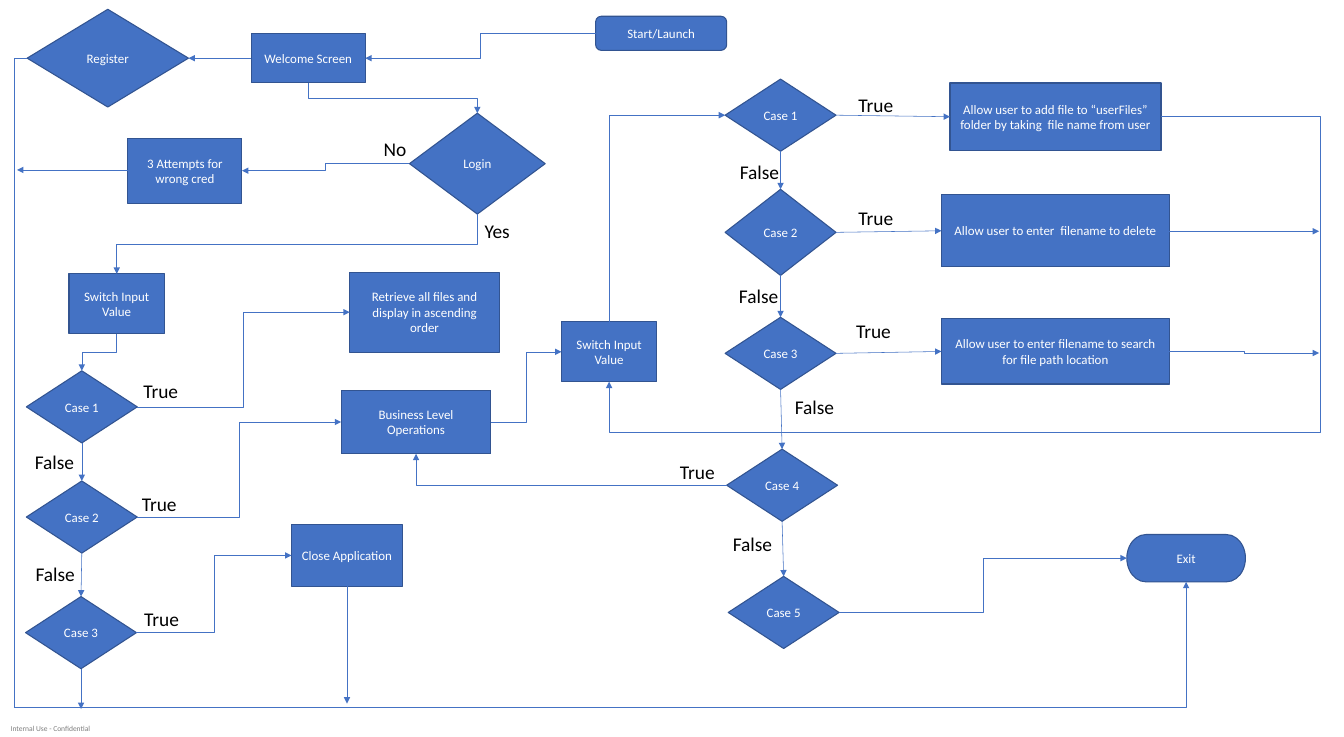
"""Flowchart of a file-management console application, laid out on a grid of tenth-inch cells."""
from lxml import etree
from pptx import Presentation
from pptx.dml.color import RGBColor
from pptx.enum.shapes import MSO_CONNECTOR, MSO_SHAPE
from pptx.enum.text import MSO_ANCHOR, PP_ALIGN
from pptx.oxml.ns import qn
from pptx.util import Inches, Pt

STRAIGHT, ELBOW = MSO_CONNECTOR.STRAIGHT, MSO_CONNECTOR.ELBOW
BOX, PROCESS = MSO_SHAPE.RECTANGLE, MSO_SHAPE.FLOWCHART_PROCESS
DECISION, TERMINATOR = MSO_SHAPE.FLOWCHART_DECISION, MSO_SHAPE.FLOWCHART_TERMINATOR
ROUNDED = MSO_SHAPE.ROUNDED_RECTANGLE
LEFT, CENTER, MIDDLE = PP_ALIGN.LEFT, PP_ALIGN.CENTER, MSO_ANCHOR.MIDDLE

COLORS = {"fill": "4472C4", "outline": "325491", "light": "FFFFFF", "label": "000000", "footer": "7F7F7F"}
CELL = Inches(0.1)
COLUMNS, ROWS = 173.3, 95
CASE_W, CASE_H = 14.3, 9.3

prs = Presentation()
prs.slide_width, prs.slide_height = int(COLUMNS * CELL), int(ROWS * CELL)
slide = prs.slides.add_slide(prs.slide_layouts[6])


def write(frame, text, size, color, align):
    frame.text = text
    frame.word_wrap = True
    for paragraph in frame.paragraphs:
        paragraph.alignment = align
        for run in paragraph.runs:
            run.font.name = "Calibri"
            run.font.size = Pt(size)
            run.font.color.rgb = RGBColor.from_string(COLORS[color])


steps = {
    "start": ("Start/Launch", ROUNDED, 76.8, 2.1, 16.9, 4.4),
    "welcome": ("Welcome Screen", BOX, 32.4, 4.3, 14.7, 6.4),
    "login": ("Login", DECISION, 52.8, 14.6, 17.5, 13),
    "register": ("Register", DECISION, 3.5, 1.2, 20.8, 12.6),
    "attempts": ("3 Attempts for wrong cred", BOX, 16.5, 17.8, 14.7, 8.4),
    "menu": ("Switch Input\nValue", BOX, 8.9, 35.3, 12.3, 7.7),
    "submenu": ("Switch Input\nValue", BOX, 72.4, 41.5, 12.3, 7.7),
    "retrieve": ("Retrieve all files and display in ascending order", PROCESS, 45.1, 35.1, 19.3, 10.3),
    "business": ("Business Level Operations", PROCESS, 44, 50.3, 19.3, 8.2),
    "close": ("Close Application", PROCESS, 37.6, 67.6, 14.3, 8),
    "add": ("Allow user to add file to “userFiles” folder by taking  file name from user",
            PROCESS, 122.5, 10.7, 27.2, 8.7),
    "delete": ("Allow user to enter  filename to delete", PROCESS, 121.4, 25.1, 29.4, 9.3),
    "search": ("Allow user to enter filename to search for file path location",
               PROCESS, 121.4, 41.1, 29.4, 8.4),
    "exit": ("Exit", TERMINATOR, 145.3, 68.9, 15.3, 6.1),
}
case_columns = {
    "menu": [(3.4, 47.8, CASE_H), (3.4, 62, CASE_H), (3.3, 76.9, CASE_H)],
    "sub": [(93.5, 10.2, CASE_H), (93.5, 24.4, 11.1), (93.5, 40.9, CASE_H),
            (93.7, 57.9, CASE_H), (93.9, 74.3, CASE_H)],
}
case_arrows = []
for column, cases in case_columns.items():
    for number, (x, y, height) in enumerate(cases, 1):
        steps[f"{column}{number}"] = (f"Case {number}", DECISION, x, y, CASE_W, height)
        if number > 1:
            case_arrows.append((f"{column}{number - 1} bottom", f"{column}{number} top", 1))

for text, kind, *place in steps.values():
    step = slide.shapes.add_shape(kind, *(int(n * CELL) for n in place))
    step.shadow.inherit = False
    step.fill.solid()
    step.fill.fore_color.rgb = RGBColor.from_string(COLORS["fill"])
    step.line.color.rgb = RGBColor.from_string(COLORS["outline"])
    step.line.width = Pt(1)
    step.text_frame.vertical_anchor = MIDDLE
    write(step.text_frame, text, 12, "light", CENTER)

SIDES = {"left": (0, 0.5), "right": (1, 0.5), "top": (0.5, 0), "bottom": (0.5, 1)}


def locate(spot):
    if isinstance(spot, tuple):
        return spot
    name, side = spot.split()
    x, y, width, height = steps[name][2:]
    return x + SIDES[side][0] * width, y + SIDES[side][1] * height


trunk_corner = (1.8, 91.2)
arrows = case_arrows + [
    ("start left", "welcome right", 3),
    ("welcome left", "register right", 1),
    ("welcome bottom", "login top", 3),
    ("login left", "attempts right", 3),
    ("attempts left", (2.2, 21.9), 3),
    ("login bottom", "menu top", 3),
    ("menu bottom", "menu1 top", 3),
    ("menu1 right", "retrieve left", 3),
    ("menu2 right", "business left", 3),
    ("menu3 right", "close left", 3),
    ("menu3 bottom", (10.45, 91.4), 1),
    ("close bottom", (44.75, 90.7), 1),
    ("business right", "submenu left", 3),
    ("submenu top", "sub1 left", 2),
    ("sub1 right", "add left", 1),
    ("sub2 right", "delete left", 1),
    ("sub3 right", "search left", 1),
    ("sub4 left", "business bottom", 2),
    ("sub5 right", "exit left", 3),
    ("add right", "submenu bottom", 4),
    ("delete right", (170.1, 29.8), 3),
    ("search right", (170.1, 45.5), 3),
    ("register left", trunk_corner, 2),
    (trunk_corner, "exit bottom", 2),
]
for source, target, segments in arrows:
    (x1, y1), (x2, y2) = locate(source), locate(target)
    leaves_vertically = segments > 1 and source in ("submenu top", "welcome bottom", "login bottom", "menu bottom")
    if leaves_vertically:
        mid_x, mid_y, half_x, half_y = (x1 + x2) / 2, (y1 + y2) / 2, (x2 - x1) / 2, (y2 - y1) / 2
        x1, y1, x2, y2 = mid_x - half_y, mid_y + half_x, mid_x + half_y, mid_y - half_x
    arrow = slide.shapes.add_connector(STRAIGHT if segments == 1 else ELBOW,
                                       *(int(n * CELL) for n in (x1, y1, x2, y2)))
    arrow.line.color.rgb = RGBColor.from_string(COLORS["fill"])
    arrow.line.width = Pt(0.5)
    properties = arrow._element.spPr
    if leaves_vertically:
        properties.find(qn("a:xfrm")).set("rot", "5400000")
    geometry = properties.find(qn("a:prstGeom"))
    if segments > 1:
        geometry.set("prst", f"bentConnector{segments}")
    if segments == 4:
        for guide, value in (("adj1", -28800), ("adj2", 119000)):
            etree.SubElement(geometry.find(qn("a:avLst")), qn("a:gd"), name=guide, fmla=f"val {value}")
    if target != trunk_corner:
        etree.SubElement(properties.find(qn("a:ln")), qn("a:tailEnd"), type="triangle")
    etree.SubElement(properties, qn("a:effectLst"))

answers = {
    "True": (11.7, [(17.5, 48.4), (17.3, 62.9), (17.6, 77.8), (109.7, 11.5),
                    (109.7, 26.1), (109.4, 40.7), (86.7, 58.8)]),
    "False": (8.8, [(3.5, 57.5), (3.6, 72), (94.4, 20.1), (94.3, 36.1), (101.5, 50.4), (93.5, 68.1)]),
    "Yes": (6, [(61.5, 27.7)]),
    "No": (9.4, [(48.5, 17.2)]),
}
for answer, (width, spots) in answers.items():
    for x, y in spots:
        label = slide.shapes.add_textbox(*(int(n * CELL) for n in (x, y, width, 4)))
        write(label.text_frame, answer, 18, "label", LEFT)

footer = slide.shapes.add_textbox(0, *(int(n * CELL) for n in (92.7, 13, 2.3)))
frame = footer.text_frame
frame.margin_left = frame.margin_right = frame.margin_top = frame.margin_bottom = 0
frame.vertical_anchor = MIDDLE
write(frame, "Internal Use - Confidential", 7, "footer", CENTER)

prs.save("out.pptx")
